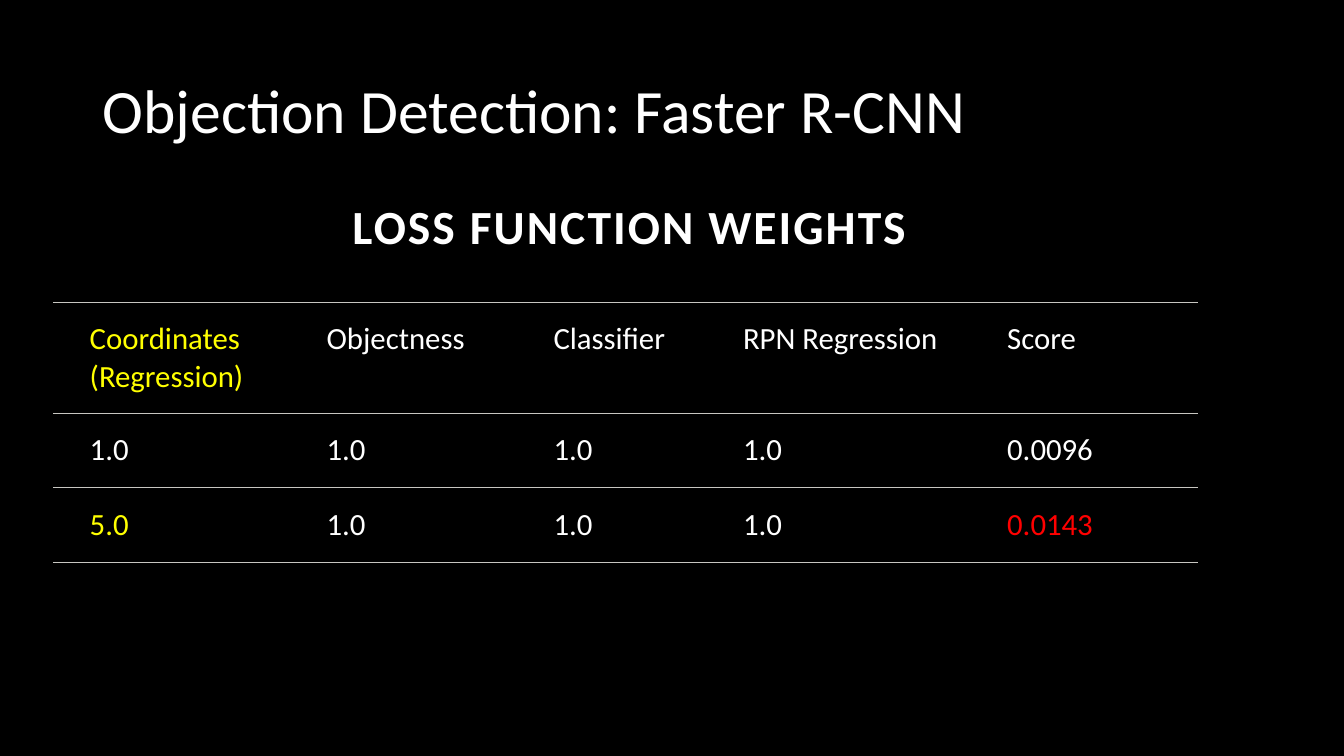
from lxml import etree
from pptx import Presentation
from pptx.dml.color import RGBColor
from pptx.enum.text import MSO_ANCHOR, PP_ALIGN
from pptx.oxml.ns import qn
from pptx.util import Inches, Pt

BLACK = RGBColor(0x00, 0x00, 0x00)
WHITE = RGBColor(0xFF, 0xFF, 0xFF)
YELLOW = RGBColor(0xFF, 0xFF, 0x00)
RED = RGBColor(0xFF, 0x00, 0x00)
RULE_GRAY = RGBColor(0xC7, 0xC6, 0xC1)

LEFT = PP_ALIGN.LEFT
CENTER = PP_ALIGN.CENTER
MIDDLE = MSO_ANCHOR.MIDDLE

COLUMN_WIDTHS = (2.35, 2.25, 1.88, 2.62, 2.25)
ROW_HEIGHTS = (1.18, 1.1, 0.74, 0.74)
HEADING_MARGINS = (0.32, 0.16, 0.24, 0.16)
BODY_MARGINS = (0.36, 0.18, 0.27, 0.18)
WEIGHT_ROWS = (
    ("Coordinates (Regression)", "Objectness", "Classifier", "RPN Regression", "Score"),
    ("1.0", "1.0", "1.0", "1.0", "0.0096"),
    ("5.0", "1.0", "1.0", "1.0", "0.0143"),
)
HIGHLIGHTS = {(0, 0): YELLOW, (2, 0): YELLOW, (2, 4): RED}


class SlideBuilder:
    font_name = "Calibri"
    rule_width = Pt(0.75)

    def __init__(self, slide):
        self.slide = slide
        slide.background.fill.solid()
        slide.background.fill.fore_color.rgb = BLACK

    def add_run(self, paragraph, text, size, color=WHITE, bold=False, spacing=0):
        """Add a styled run; spacing is the letter spacing in points."""
        run = paragraph.add_run()
        run.text = text
        run.font.name = self.font_name
        run.font.size = Pt(size)
        run.font.bold = bold
        run.font.color.rgb = color
        if spacing:
            run.font._element.set("spc", str(int(spacing * 100)))

    def add_title(self, text, left, top, width, height):
        box = self.slide.shapes.add_textbox(
            Inches(left), Inches(top), Inches(width), Inches(height))
        frame = box.text_frame
        frame.word_wrap = True
        frame.vertical_anchor = MIDDLE
        paragraph = frame.paragraphs[0]
        paragraph.line_spacing = 0.9
        self.add_run(paragraph, text, 44)

    def add_table(self, left, top, column_widths, row_heights):
        frame = self.slide.shapes.add_table(
            len(row_heights), len(column_widths), Inches(left), Inches(top),
            Inches(sum(column_widths)), Inches(sum(row_heights)))
        table = frame.table
        table.first_row = False
        table.horz_banding = False
        for column, width in zip(table.columns, column_widths):
            column.width = Inches(width)
        for row_index, (row, height) in enumerate(zip(table.rows, row_heights)):
            row.height = Inches(height)
            for cell in row.cells:
                cell.fill.background()
                self.rule_cell(cell, top_rule=row_index > 0)
        return table

    def rule_cell(self, cell, top_rule):
        """Draw horizontal rules only, leaving the sides open."""
        properties = cell._tc.get_or_add_tcPr()
        visible = {"a:lnT": top_rule, "a:lnB": True}
        for index, tag in enumerate(("a:lnL", "a:lnR", "a:lnT", "a:lnB")):
            line = etree.Element(qn(tag), w=str(self.rule_width))
            if visible.get(tag):
                fill = etree.SubElement(line, qn("a:solidFill"))
                etree.SubElement(fill, qn("a:srgbClr"), val=str(RULE_GRAY))
            else:
                etree.SubElement(line, qn("a:noFill"))
            properties.insert(index, line)

    def fill_cell(self, cell, text, size, margins, alignment=LEFT, **run_style):
        (cell.margin_left, cell.margin_top,
         cell.margin_right, cell.margin_bottom) = map(Inches, margins)
        paragraph = cell.text_frame.paragraphs[0]
        paragraph.alignment = alignment
        self.add_run(paragraph, text, size, **run_style)


def main():
    presentation = Presentation()
    presentation.slide_width = Inches(13.33)
    presentation.slide_height = Inches(7.5)
    slide = presentation.slides.add_slide(presentation.slide_layouts[6])
    builder = SlideBuilder(slide)

    builder.add_title("Objection Detection: Faster R-CNN", 0.92, 0.4, 11.5, 1.45)

    table = builder.add_table(0.53, 1.82, COLUMN_WIDTHS, ROW_HEIGHTS)
    heading = table.cell(0, 0)
    heading.merge(table.cell(0, len(COLUMN_WIDTHS) - 1))
    builder.fill_cell(heading, "LOSS FUNCTION WEIGHTS", 34, HEADING_MARGINS,
                      CENTER, bold=True, spacing=1.5)
    for row, values in enumerate(WEIGHT_ROWS):
        for column, value in enumerate(values):
            builder.fill_cell(table.cell(row + 1, column), value, 22, BODY_MARGINS,
                              color=HIGHLIGHTS.get((row, column), WHITE))

    presentation.save("out.pptx")


if __name__ == "__main__":
    main()
